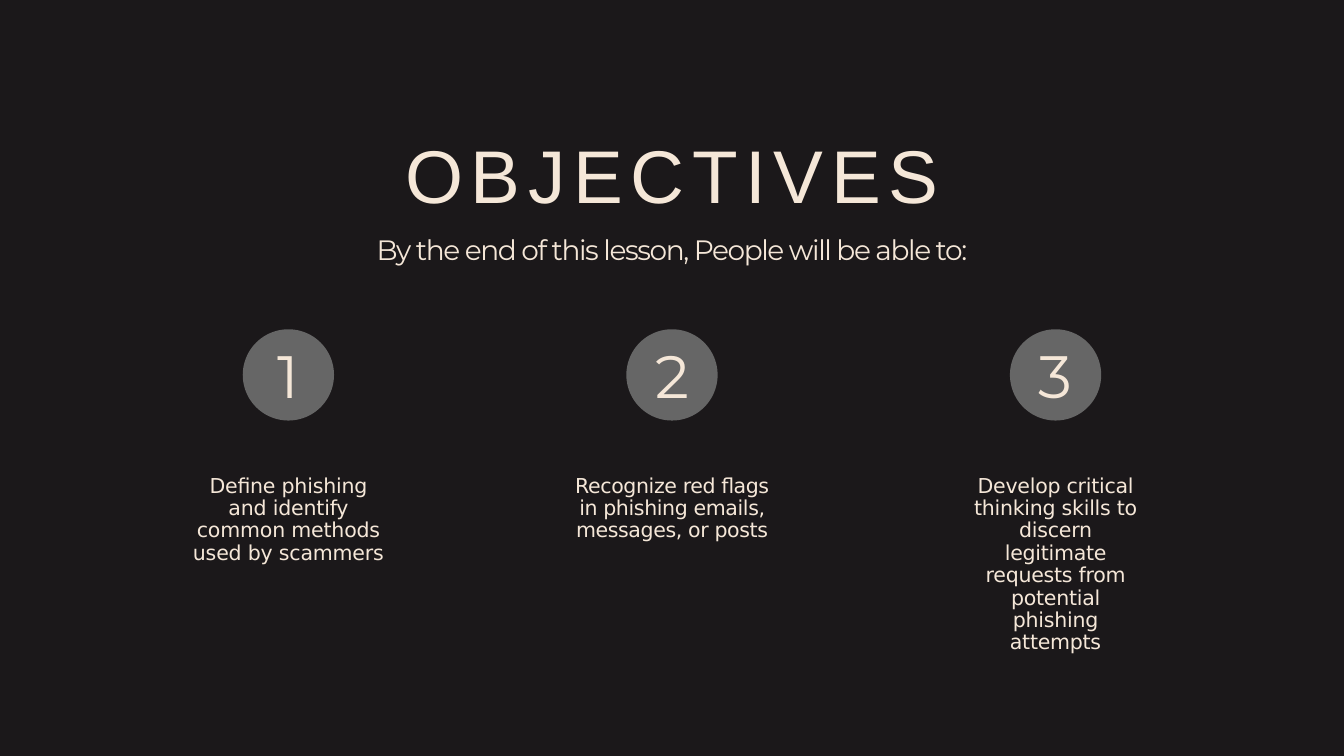
from pptx import Presentation
from pptx.dml.color import RGBColor
from pptx.enum.shapes import MSO_SHAPE
from pptx.enum.text import PP_ALIGN
from pptx.util import Pt

NIGHT = RGBColor(0x1B, 0x18, 0x1A)
GREY = RGBColor(0x66, 0x66, 0x66)
CREAM = RGBColor(0xF5, 0xE7, 0xD8)

TITLE = "OBJECTIVES"
SUBTITLE = "By the end of this lesson, People will be able to:"
# Text, box width, box height, letter spacing
OBJECTIVES = [
    ("Define phishing and identify common methods used by scammers", 215.3, 246, -0.2),
    ("Recognize red flags in phishing emails, messages, or posts", 233.3, 220, -0.4),
    ("Develop critical thinking skills to discern legitimate requests "
     "from potential phishing attempts", 194.4, 292, -0.25),
]

PAGE_WIDTH, PAGE_HEIGHT = 1440, 810
CENTER = PAGE_WIDTH / 2
COLUMN_STEP = 411
CIRCLE_TOP, CIRCLE_SIZE = 352.8, 97.8
TEXT_TOP = 360.7


def add_text_frame(page, center, top, width, height, inset_top, inset_side=0):
    box = page.shapes.add_textbox(Pt(center - width / 2), Pt(top), Pt(width), Pt(height))
    frame = box.text_frame
    frame.word_wrap = True
    frame.margin_top, frame.margin_bottom = Pt(inset_top), 0
    frame.margin_left = frame.margin_right = Pt(inset_side)
    return frame


def write(para, text, font, size, spacing):
    span = para.add_run()
    span.text = text
    # Letter spacing is stored in hundredths of a point
    span.font._element.set("spc", str(round(spacing * 100)))
    para.font.name, para.font.size = font, Pt(size)
    para.font.color.rgb = CREAM
    para.alignment = PP_ALIGN.CENTER


deck = Presentation()
deck.slide_width, deck.slide_height = Pt(PAGE_WIDTH), Pt(PAGE_HEIGHT)
page = deck.slides.add_slide(deck.slide_layouts[6])
page.background.fill.solid()
page.background.fill.fore_color.rgb = NIGHT

# Numbered objectives
for index, (text, width, height, spacing) in enumerate(OBJECTIVES):
    center = CENTER + (index - 1) * COLUMN_STEP
    circle = page.shapes.add_shape(
        MSO_SHAPE.OVAL, Pt(center - CIRCLE_SIZE / 2), Pt(CIRCLE_TOP),
        Pt(CIRCLE_SIZE), Pt(CIRCLE_SIZE))
    circle.shadow.inherit = False
    circle.fill.solid()
    circle.fill.fore_color.rgb = GREY
    circle.line.fill.background()

    frame = add_text_frame(page, center, TEXT_TOP, width, height, 2, 4)
    write(frame.paragraphs[0], str(index + 1), "Montserrat", 64, -7)
    para = frame.add_paragraph()
    write(para, text, "DejaVu Sans", 22, spacing)
    para.line_spacing, para.space_before = Pt(24), Pt(69.2)

# Heading
frame = add_text_frame(page, CENTER, 85, 741, 193, 52.5)
write(frame.paragraphs[0], TITLE, "Arial", 80, 8.2)
para = frame.add_paragraph()
write(para, SUBTITLE, "Montserrat", 30, -1.5)
para.space_before = Pt(16.1)

deck.save("out.pptx")
